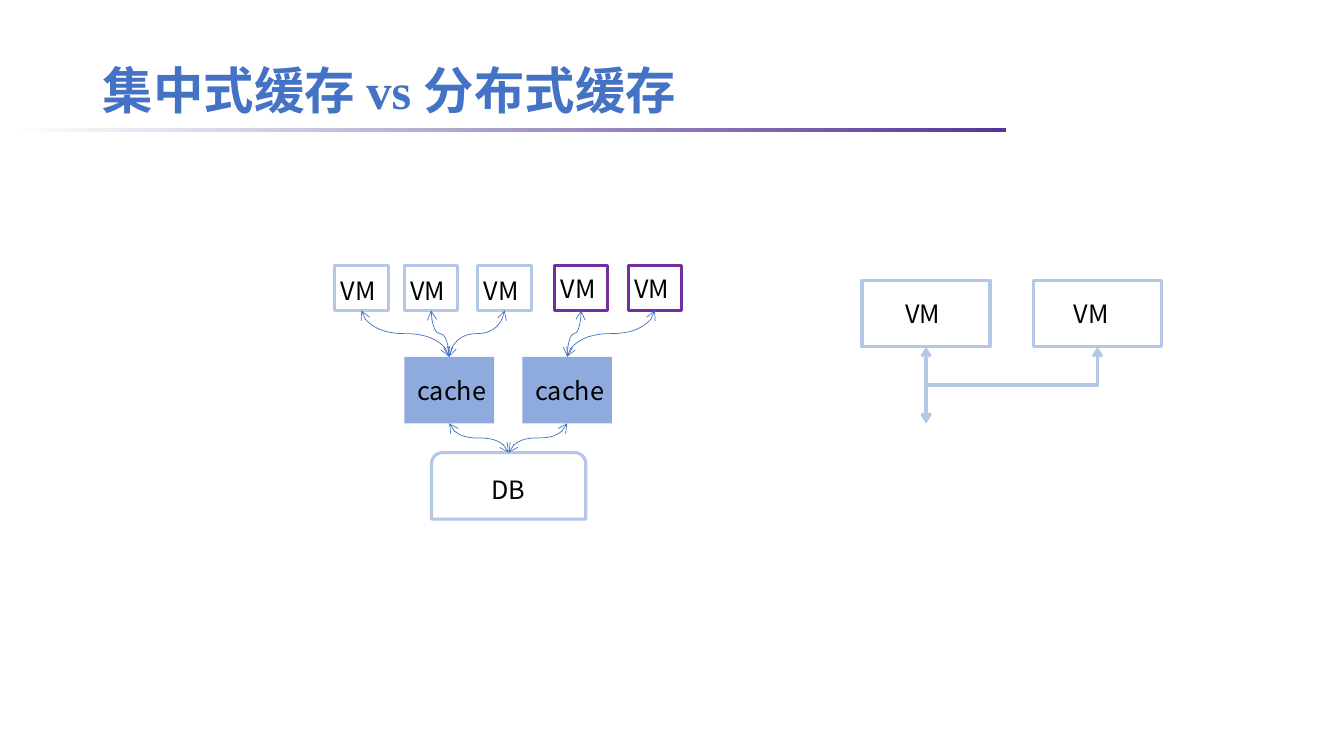
from lxml.etree import SubElement
from pptx import Presentation
from pptx.dml.color import RGBColor
from pptx.enum.shapes import MSO_CONNECTOR, MSO_SHAPE
from pptx.enum.text import MSO_ANCHOR, PP_ALIGN
from pptx.oxml.ns import qn
from pptx.util import Inches, Pt

WHITE = RGBColor(0xFF, 0xFF, 0xFF)
BLACK = RGBColor(0, 0, 0)
BLUE = RGBColor(0x44, 0x72, 0xC4)
PALE_BLUE = RGBColor(0xB4, 0xC7, 0xE7)
CACHE_BLUE = RGBColor(0x8F, 0xAA, 0xDC)
PURPLE = RGBColor(0x70, 0x30, 0xA0)
RULE_PURPLE = RGBColor(0x54, 0x37, 0x95)
LABEL_FONT = "Noto Sans CJK SC"
TITLE_FONT = "Times New Roman"

TITLE = "集中式缓存 vs 分布式缓存"
SMALL_VM = (0.53, 0.45)
CACHE = (0.89, 0.66)
DB = (1.53, 0.66)
LARGE_VM = (1.27, 0.66)
VM_TOP, CACHE_TOP, DB_TOP, LARGE_VM_TOP = 2.63, 3.54, 4.49, 2.78
CLUSTERS = [
    {"cache": 4.01, "vms": [3.32, 4.01, 4.74], "outline": PALE_BLUE, "label_top": 0.1},
    {"cache": 5.18, "vms": [5.5, 6.23], "outline": PURPLE, "label_top": 0.08},
]
DB_LEFT = 4.28
LARGE_VMS = [(8.55, 0.43), (10.25, 0.4)]
ARROW_END = 4.2
TOP_SITE, BOTTOM_SITE = 0, 2

deck = Presentation()
deck.slide_width, deck.slide_height = Inches(13.33), Inches(7.5)
slide = deck.slides.add_slide(deck.slide_layouts[5])
shapes = slide.shapes


def add_box(label, left, top, size, indent, outline=None, fill=None, form=MSO_SHAPE.RECTANGLE):
    box = shapes.add_shape(form, Inches(left), Inches(top), *map(Inches, size))
    box.shadow.inherit = False
    if fill is None:
        box.fill.background()
    else:
        box.fill.solid()
        box.fill.fore_color.rgb = fill
    if outline is None:
        box.line.fill.background()
    else:
        box.line.color.rgb = outline
        box.line.width = Pt(2.25)
    frame = box.text_frame
    frame.margin_left, frame.margin_top = map(Inches, indent)
    frame.margin_right = frame.margin_bottom = 0
    frame.vertical_anchor = MSO_ANCHOR.TOP
    frame.text = label
    frame.paragraphs[0].alignment = PP_ALIGN.LEFT
    font = frame.paragraphs[0].runs[0].font
    font.name, font.size, font.color.rgb = LABEL_FONT, Pt(18), BLACK
    return box


def bottom_of(box):
    return box.left + box.width // 2, box.top + box.height


def top_of(box):
    return box.left + box.width // 2, box.top


def add_arrow(kind, upper, end, color, width, lower=None):
    start = bottom_of(upper)
    arrow = shapes.add_connector(kind, *start, *end)
    arrow.begin_connect(upper, BOTTOM_SITE)
    if lower is not None:
        arrow.end_connect(lower, TOP_SITE)
    if kind != MSO_CONNECTOR.STRAIGHT:
        run, drop = end[0] - start[0], end[1] - start[1]
        xfrm = arrow._element.spPr.xfrm
        for flip in ("flipH", "flipV"):
            xfrm.attrib.pop(flip, None)
        xfrm.set("rot", "5400000")
        if run > 0:
            xfrm.set("flipV", "1")
        arrow.width, arrow.height = drop, abs(run)
        arrow.left = (start[0] + end[0] - drop) // 2
        arrow.top = (start[1] + end[1] - abs(run)) // 2
    arrow.line.color.rgb = color
    arrow.line.width = Pt(width)
    for tip in ("a:headEnd", "a:tailEnd"):
        SubElement(arrow.line._get_or_add_ln(), qn(tip), type="arrow")
    SubElement(arrow._element.spPr, qn("a:effectLst"))


rule = shapes.add_shape(MSO_SHAPE.RECTANGLE, *map(Inches, (0.11, 1.27, 9.87, 0.04)))
rule.shadow.inherit = False
rule.line.fill.background()
rule.fill.gradient()
rule.fill.gradient_angle = 0
for stop, color, place in zip(rule.fill.gradient_stops, (WHITE, RULE_PURPLE), (0, 1)):
    stop.color.rgb, stop.position = color, place

title = shapes.title
title.left, title.top, title.width, title.height = map(Inches, (0.92, 0.4, 11.5, 0.85))
title.text_frame.text = TITLE
title.text_frame.vertical_anchor = MSO_ANCHOR.MIDDLE
heading = title.text_frame.paragraphs[0]
heading.alignment, heading.line_spacing = PP_ALIGN.LEFT, 1.2
font = heading.runs[0].font
font.name, font.size, font.bold, font.color.rgb = TITLE_FONT, Pt(36), True, BLUE
SubElement(heading.runs[0]._r.get_or_add_rPr(), qn("a:ea"), typeface=LABEL_FONT)

db = add_box("DB", DB_LEFT, DB_TOP, DB, (0.56, 0.18), PALE_BLUE,
             form=MSO_SHAPE.ROUND_2_SAME_RECTANGLE)
for cluster in CLUSTERS:
    cache = add_box("cache", cluster["cache"], CACHE_TOP, CACHE, (0.13, 0.18), fill=CACHE_BLUE)
    for left in cluster["vms"]:
        vm = add_box("VM", left, VM_TOP, SMALL_VM, (0.06, cluster["label_top"]), cluster["outline"])
        add_arrow(MSO_CONNECTOR.CURVE, vm, top_of(cache), BLUE, 0.5, cache)
    add_arrow(MSO_CONNECTOR.CURVE, cache, top_of(db), BLUE, 0.5)

first_vm, second_vm = [
    add_box("VM", left, LARGE_VM_TOP, LARGE_VM, (indent, 0.18), PALE_BLUE)
    for left, indent in LARGE_VMS
]
shared_end = bottom_of(first_vm)[0], Inches(ARROW_END)
add_arrow(MSO_CONNECTOR.STRAIGHT, first_vm, shared_end, PALE_BLUE, 2.25)
add_arrow(MSO_CONNECTOR.ELBOW, second_vm, shared_end, PALE_BLUE, 2.25)

deck.save("out.pptx")
